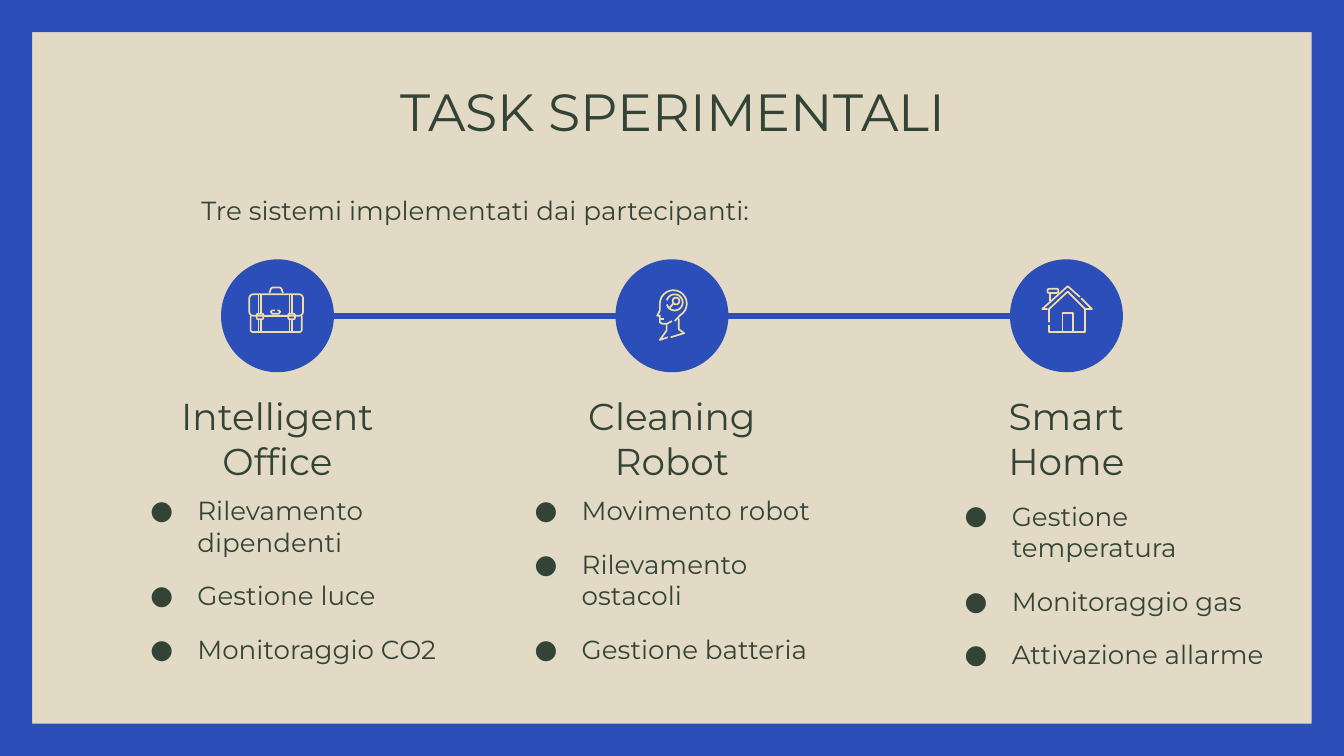
"""Build the slide that presents the three experimental tasks."""
from math import cos, radians, sin

from lxml import etree
from pptx import Presentation
from pptx.dml.color import RGBColor
from pptx.enum.shapes import MSO_CONNECTOR, MSO_SHAPE
from pptx.enum.text import MSO_ANCHOR, PP_ALIGN
from pptx.oxml.ns import qn
from pptx.util import Inches, Pt

STRAIGHT = MSO_CONNECTOR.STRAIGHT
FRAME, OVAL = MSO_SHAPE.FRAME, MSO_SHAPE.OVAL
CENTER, LEFT = PP_ALIGN.CENTER, PP_ALIGN.LEFT
TOP, MIDDLE = MSO_ANCHOR.TOP, MSO_ANCHOR.MIDDLE

BLUE = RGBColor(0x2C, 0x4E, 0xB8)
SAND = RGBColor(0xE3, 0xDA, 0xC5)
GREEN = RGBColor(0x33, 0x44, 0x36)
CREAM = RGBColor(0xF2, 0xDD, 0xA9)
FONT = "Montserrat"

WIDTH = 10
HEIGHT = WIDTH * 9 / 16
BORDER = 0.24
PITCH = 5.87 / 2
CIRCLE, CIRCLE_Y = 0.84, 2.35
HEADING_WIDTH, LIST_WIDTH = 2.56, 2.64
ICON_UNIT = 0.01
DETAIL_SIZE = 14


def arc(x, y, radius, start=0, end=360):
    return [(x + radius * cos(radians(a)), y + radius * sin(radians(a)))
            for a in range(start, end + 1, 15)]


def rounded(x, y, width, height, radius=1):
    right, bottom = x + width - radius, y + height - radius
    left, top = x + radius, y + radius
    outline = (arc(left, top, radius, 180, 270) + arc(right, top, radius, 270, 360)
               + arc(right, bottom, radius, 0, 90) + arc(left, bottom, radius, 90, 180))
    return outline + outline[:1]


BRIEFCASE = [
    [
        [(-6, -17), (-5, -20), (-4, -21), (2, -21), (3, -20), (4, -17)],
        [(-20, 0), (-20, 11), (-19, 12), (17, 12), (18, 11), (18, 0)],
        *[[(x, top), (x, bottom)] for x in (-14, -12, 9, 11)
          for top, bottom in ((-16, -2), (3, 12))],
        [(-11, 0), (8, 0)],
        rounded(-21, -16, 40, 16, 3),
        rounded(-15.5, -1.5, 5, 4),
        rounded(8, -1.5, 5, 4),
    ],
    [[(-2, -4), (-4, -4), (-5, -3), (-4, -1.5), (1, -1.5), (2, -3), (1, -4), (0, -4)]],
]
HEAD = [
    [
        arc(1, -9, 10, 180, 420) + [(2, 4)],
        [(-9, -9), (-9, -4), (-11, 0), (-9, 0), (-9, 5), (-7, 6), (-4, 6), (0, 4)],
        [(-9, 2.5), (-6, 2.5)],
        [(-4, 6), (-4, 11), (-9, 18), (-3, 16)],
        [(5, 2), (5, 10), (9, 13), (-1, 16)],
    ],
    [arc(2, -10, 6, -165, 165)],
    [arc(3, -11, 2.5), [(1, -9), (-2, -6)]],
]
HOUSE = [
    [
        [(-14, -5), (-18, -5), (1, -22), (10, -14)],
        [(11, -13), (19, -5), (14, -5), (1, -18), (-13, -5), (-13, 5)],
        [(-13, 7), (-13, 12), (14, 12), (14, -5)],
        [(-3, 12), (-3, -2), (5, -2), (5, 12)],
        [(-12, -11), (-12, -17)],
        rounded(-14, -20, 8, 3),
    ],
]

TITLE = "TASK SPERIMENTALI"
INTRO = "Tre sistemi implementati dai partecipanti:"
TASKS = [
    ("Intelligent\nOffice", BRIEFCASE, (0.87, 3.58),
     ["Rilevamento dipendenti", "Gestione luce", "Monitoraggio CO2"]),
    ("Cleaning\nRobot", HEAD, (3.73, 3.58),
     ["Movimento robot", "Rilevamento ostacoli", "Gestione batteria"]),
    ("Smart\nHome", HOUSE, (6.93, 3.62),
     ["Gestione temperatura", "Monitoraggio gas", "Attivazione allarme"]),
]


def add_filled(slide, kind, left, top, width, height):
    shape = slide.shapes.add_shape(
        kind, Inches(left), Inches(top), Inches(width), Inches(height))
    shape.shadow.inherit = False
    shape.fill.solid()
    shape.fill.fore_color.rgb = BLUE
    shape.line.fill.background()
    return shape


def make_bullet(paragraph):
    properties = paragraph._p.get_or_add_pPr()
    properties.set("marL", str(Inches(0.5)))
    properties.set("indent", str(Inches(-0.35)))
    color = etree.SubElement(properties, qn("a:buClr"))
    etree.SubElement(color, qn("a:srgbClr"), val=str(GREEN))
    etree.SubElement(properties, qn("a:buSzPts"), val=str(DETAIL_SIZE * 100))
    etree.SubElement(properties, qn("a:buFont"), typeface=FONT)
    etree.SubElement(properties, qn("a:buChar"), char="●")


def add_text(slide, lines, left, top, width, height, size,
             align=LEFT, anchor=TOP, bullets=False):
    box = slide.shapes.add_textbox(
        Inches(left), Inches(top), Inches(width), Inches(height))
    frame = box.text_frame
    frame.word_wrap = True
    frame.vertical_anchor = anchor
    frame.margin_left = frame.margin_right = Inches(0.1)
    frame.margin_top = frame.margin_bottom = Inches(0.1)
    for index, line in enumerate(lines):
        paragraph = frame.add_paragraph() if index else frame.paragraphs[0]
        paragraph.text = line
        paragraph.alignment = align
        if bullets:
            make_bullet(paragraph)
        if index:
            paragraph.space_before = Pt(12)
        paragraph.font.name = FONT
        paragraph.font.size = Pt(size)
        paragraph.font.color.rgb = GREEN


def add_link(slide, start, end):
    link = slide.shapes.add_connector(
        STRAIGHT, Inches(start), Inches(CIRCLE_Y), Inches(end), Inches(CIRCLE_Y))
    link.line.color.rgb = BLUE
    link.line.width = Pt(3)
    etree.SubElement(link._element.spPr, qn("a:effectLst"))


def add_icon(slide, icon, center):
    for strokes in icon:
        placed = [[(Inches(center + x * ICON_UNIT), Inches(CIRCLE_Y + y * ICON_UNIT))
                   for x, y in stroke] for stroke in strokes]
        builder = slide.shapes.build_freeform(*placed[0][0])
        for index, (start, *rest) in enumerate(placed):
            if index:
                builder.move_to(*start)
            builder.add_line_segments(rest, close=False)
        part = builder.convert_to_shape()
        part.shadow.inherit = False
        part.fill.background()
        part.line.color.rgb = CREAM
        part.line.width = Pt(0.9)


def main():
    deck = Presentation()
    deck.slide_width, deck.slide_height = Inches(WIDTH), Inches(HEIGHT)
    slide = deck.slides.add_slide(deck.slide_layouts[6])
    slide.background.fill.solid()
    slide.background.fill.fore_color.rgb = SAND

    border = add_filled(slide, FRAME, 0, 0, WIDTH, HEIGHT)
    border.adjustments[0] = BORDER / HEIGHT
    add_text(slide, [TITLE], 0.79, 0.49, 8.43, 0.63, 28, CENTER)
    add_text(slide, [INTRO], 1.4, 1.21, 6.36, 0.71, DETAIL_SIZE, anchor=MIDDLE)

    radius = CIRCLE / 2
    for index, (heading, icon, (left, top), details) in enumerate(TASKS):
        center = WIDTH / 2 + (index - 1) * PITCH
        if index:
            add_link(slide, center - PITCH + radius, center - radius)
        add_filled(slide, OVAL, center - radius, CIRCLE_Y - radius, CIRCLE, CIRCLE)
        add_icon(slide, icon, center)
        add_text(slide, [heading], center - HEADING_WIDTH / 2, 2.97,
                 HEADING_WIDTH, 0.58, 20, CENTER, MIDDLE)
        add_text(slide, details, left, top, LIST_WIDTH, 1.5, DETAIL_SIZE, bullets=True)

    deck.save("out.pptx")


if __name__ == "__main__":
    main()
